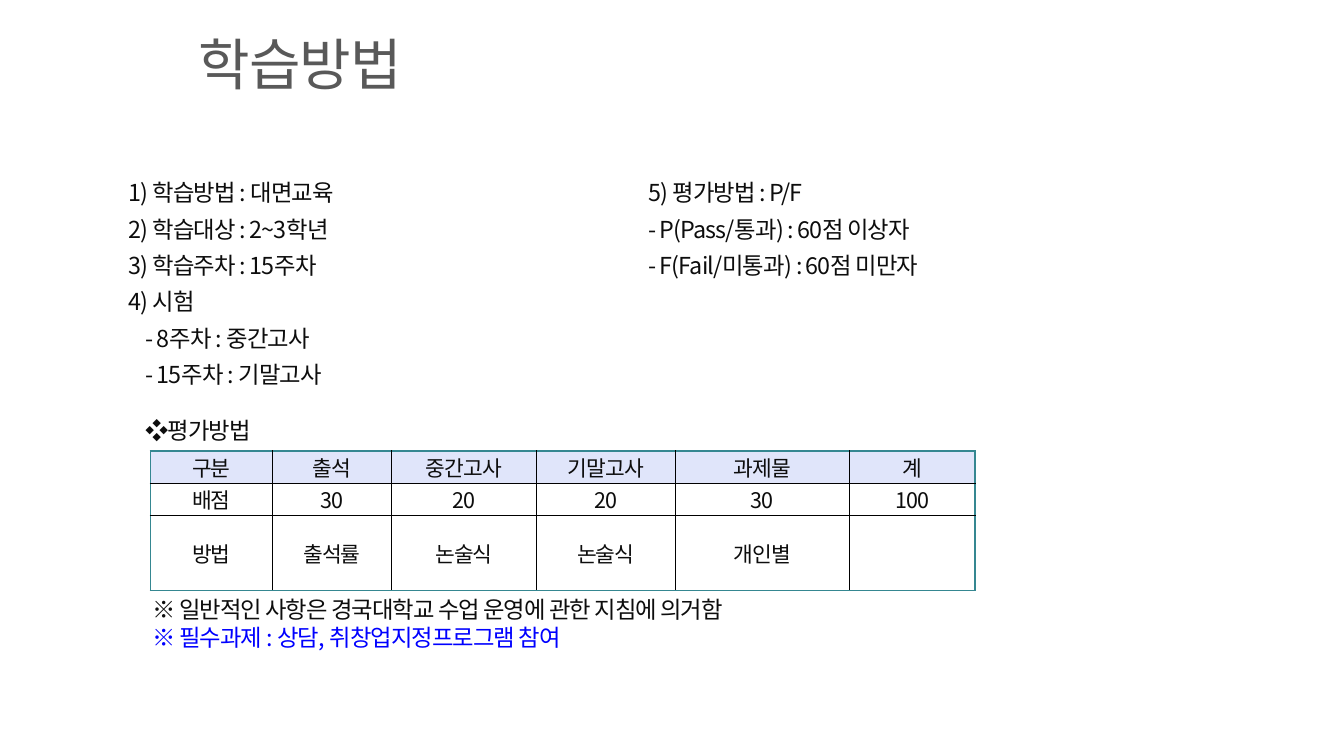
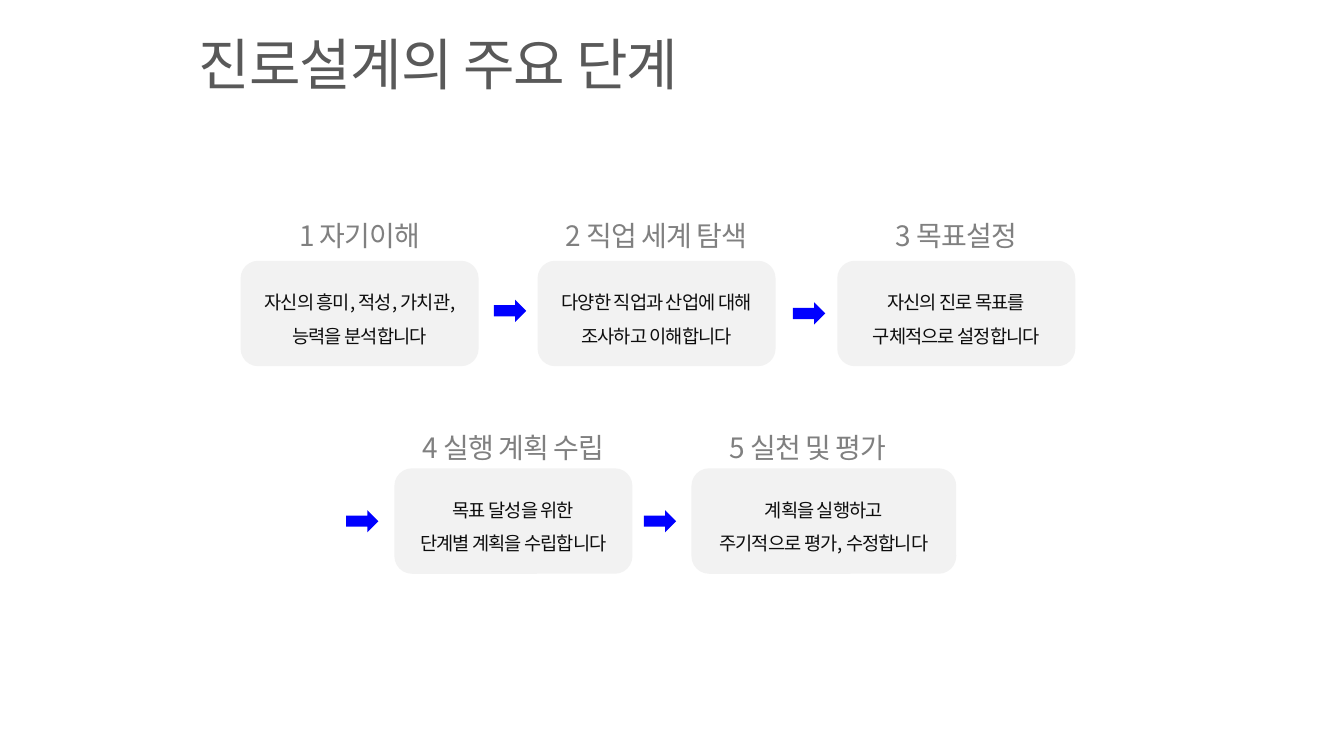
from dataclasses import dataclass
from typing import Any

from lxml.etree import SubElement
from pptx import Presentation
from pptx.dml.color import RGBColor
from pptx.enum.shapes import MSO_SHAPE
from pptx.enum.text import MSO_ANCHOR, MSO_AUTO_SIZE, PP_ALIGN
from pptx.oxml.ns import qn
from pptx.util import Pt

FONT = "Noto Sans CJK KR"
HUES = {
    "title": "595959", "text": "0D0D0D", "label": "808080", "blue": "0000FF",
    "card": "F2F2F2", "head": "E0E5FA", "edge": "358791", "grid": "000000",
}


@dataclass(frozen=True)
class Style:
    size: float
    hue: str = "text"
    align: PP_ALIGN = PP_ALIGN.LEFT
    space: float = 1.0


@dataclass(frozen=True)
class Line:
    text: str
    left: float = 0
    hang: float = 0
    space: float | None = None
    hue: str | None = None


@dataclass(frozen=True)
class Row:
    label: float
    card: float


@dataclass(frozen=True)
class Step:
    name: str
    text: tuple[str, ...]
    row: Row
    left: float
    arrow: tuple[float, float] | None = None
    width: float = 255
    shift: float = 0


TITLE = Style(60, "title")
LIST = Style(25, space=1.3)
NOTE = Style(25)
CELL = Style(23, align=PP_ALIGN.CENTER)
LABEL = Style(30, "label", PP_ALIGN.CENTER, 1.5)
CARD = Style(20, align=PP_ALIGN.CENTER, space=1.5)

HANG, INSET = 31, 18
PLAN = [
    *(Line(text, HANG, HANG) for text in (
        "1) 학습방법 : 대면교육", "2) 학습대상 : 2~3학년",
        "3) 학습주차 : 15주차", "4) 시험")),
    Line("- 8주차 : 중간고사", INSET),
    Line("- 15주차 : 기말고사", INSET),
    Line("❖평가방법", INSET, space=2),
]
GRADE = [Line(text, HANG, HANG) for text in (
    "5) 평가방법 : P/F", "- P(Pass/통과) : 60점 이상자",
    "- F(Fail/미통과) : 60점 미만자")]
NOTES = [
    Line("※ 일반적인 사항은 경국대학교 수업 운영에 관한 지침에 의거함"),
    Line("※ 필수과제 : 상담, 취창업지정프로그램 참여", hue="blue"),
]
SCORES = [
    ["구분", "출석", "중간고사", "기말고사", "과제물", "계"],
    ["배점", "30", "20", "20", "30", "100"],
    ["방법", "출석률", "논술식", "논술식", "개인별", ""],
]
WIDTHS = [130.3, 128.2, 154.8, 149, 186.5, 134.6]
HEIGHTS = [32.4, 32.4, 79.9]

TOP, LOW = Row(213, 279.4), Row(440, 501.8)
STEPS = [
    Step("1 자기이해", ("자신의 흥미, 적성, 가치관, 능력을 분석합니다",), TOP, 257.8),
    Step("2 직업 세계 탐색", ("다양한 직업과 산업에 대해", "조사하고 이해합니다"),
         TOP, 576, (529.2, 321.1)),
    Step("3 목표설정", ("자신의 진로 목표를", "구체적으로 설정합니다"),
         TOP, 897.1, (849.6, 324)),
    Step("4 실행 계획 수립", ("목표 달성을 위한", "단계별 계획을 수립합니다"),
         LOW, 422.6, (370.8, 546.5)),
    Step("5 실천 및 평가", ("계획을 실행하고", "주기적으로 평가, 수정합니다"),
         LOW, 740.9, (689.8, 546.5), 283.7, -2.9),
]


def color(hue: str) -> RGBColor:
    return RGBColor.from_string(HUES[hue])


def write(frame: Any, lines: list[Line], style: Style) -> None:
    for i, line in enumerate(lines):
        para = frame.paragraphs[0] if i == 0 else frame.add_paragraph()
        para.text = line.text
        props = para._p.get_or_add_pPr()
        props.set("marL", str(Pt(line.left)))
        props.set("indent", str(-Pt(line.hang)))
        SubElement(props, qn("a:buNone"))
        para.alignment = style.align
        para.line_spacing = line.space or style.space
        para.space_before = Pt(0)
        font = para.font
        font.size = Pt(style.size)
        font.color.rgb = color(line.hue or style.hue)
        font.name = FONT
        font._element.set("spc", "-100")
        SubElement(font._element, qn("a:ea"), typeface=FONT)


def place(shape: Any, left: float, top: float, width: float, height: float) -> None:
    shape.left, shape.top = Pt(left), Pt(top)
    shape.width, shape.height = Pt(width), Pt(height)


def fill(shape: Any, lines: list[Line], style: Style,
         anchor: MSO_ANCHOR = MSO_ANCHOR.TOP) -> None:
    """Set up a shape's text frame and write the lines into it."""
    frame = shape.text_frame
    frame.word_wrap = True
    frame.auto_size = MSO_AUTO_SIZE.NONE
    frame.vertical_anchor = anchor
    write(frame, lines, style)


def head(slide: Any, text: str) -> None:
    title = slide.shapes.title
    place(title, 213, 25, 747, 86)
    fill(title, [Line(text)], TITLE, MSO_ANCHOR.MIDDLE)
    frame = title.text_frame
    frame.margin_left = frame.margin_right = Pt(0)
    frame.margin_top = frame.margin_bottom = Pt(0)


def box(slide: Any, left: float, top: float, width: float, height: float,
        lines: list[Line], style: Style) -> None:
    area = slide.shapes.add_textbox(Pt(left), Pt(top), Pt(width), Pt(height))
    fill(area, lines, style)


def solid(slide: Any, kind: MSO_SHAPE, left: float, top: float,
          width: float, height: float, hue: str) -> Any:
    shape = slide.shapes.add_shape(kind, Pt(left), Pt(top), Pt(width), Pt(height))
    shape.shadow.inherit = False
    shape.fill.solid()
    shape.fill.fore_color.rgb = color(hue)
    shape.line.fill.background()
    return shape


def border(cell: Any, side: str, outer: bool) -> None:
    width, hue = (1.98, "edge") if outer else (0.75, "grid")
    line = SubElement(cell._tc.get_or_add_tcPr(), qn(f"a:ln{side}"), w=str(Pt(width)))
    paint = SubElement(line, qn("a:solidFill"))
    SubElement(paint, qn("a:srgbClr"), val=HUES[hue])


def scores(slide: Any) -> None:
    rows, cols = len(HEIGHTS), len(WIDTHS)
    table = slide.shapes.add_table(
        rows, cols, Pt(161.3), Pt(483.1), Pt(sum(WIDTHS)), Pt(sum(HEIGHTS))).table
    for col, width in zip(table.columns, WIDTHS):
        col.width = Pt(width)
    for row, height in zip(table.rows, HEIGHTS):
        row.height = Pt(height)
    for r, texts in enumerate(SCORES):
        for c, text in enumerate(texts):
            cell = table.cell(r, c)
            cell.margin_left = cell.margin_right = Pt(2.9)
            cell.margin_top = cell.margin_bottom = Pt(0.7)
            cell.vertical_anchor = MSO_ANCHOR.MIDDLE
            border(cell, "L", c == 0)
            border(cell, "R", c == cols - 1)
            border(cell, "T", r == 0)
            border(cell, "B", r == rows - 1)
            if r == 0:
                cell.fill.solid()
                cell.fill.fore_color.rgb = color("head")
            else:
                cell.fill.background()
            if text:
                write(cell.text_frame, [Line(text)], CELL)


def study(deck: Any) -> None:
    slide = deck.slides.add_slide(deck.slide_layouts.get_by_name("Two Content"))
    head(slide, "학습방법")
    plan, grade = slide.placeholders[1], slide.placeholders[2]
    place(plan, 130.3, 178.6, 540, 304)
    fill(plan, PLAN, LIST)
    place(grade, 687.6, 178.6, 443, 120)
    fill(grade, GRADE, LIST)
    scores(slide)
    box(slide, 156.2, 634.3, 704, 68, NOTES, NOTE)


def career(deck: Any) -> None:
    slide = deck.slides.add_slide(deck.slide_layouts.get_by_name("Title Only"))
    head(slide, "진로설계의 주요 단계")
    for step in STEPS:
        card = solid(slide, MSO_SHAPE.ROUNDED_RECTANGLE, step.left, step.row.card,
                     step.width, 113, "card")
        fill(card, [Line(text) for text in step.text], CARD, MSO_ANCHOR.MIDDLE)
        box(slide, step.left + step.shift, step.row.label, 255, 58,
            [Line(step.name)], LABEL)
        if step.arrow:
            solid(slide, MSO_SHAPE.RIGHT_ARROW, *step.arrow, 34.6, 23.8, "blue")


def main() -> None:
    deck = Presentation()
    deck.slide_width, deck.slide_height = Pt(1440), Pt(810)
    study(deck)
    career(deck)
    deck.save("out.pptx")


if __name__ == "__main__":
    main()
